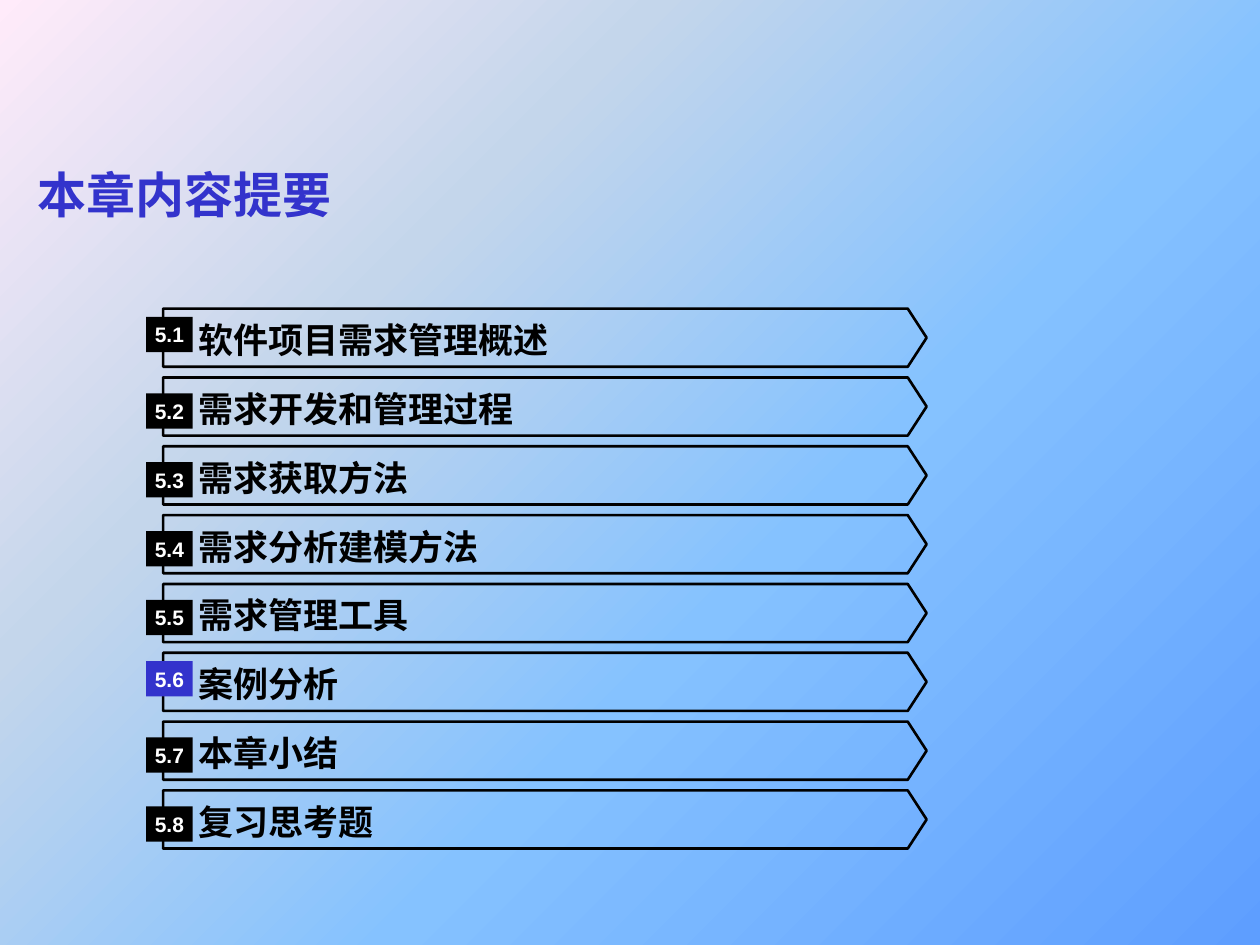
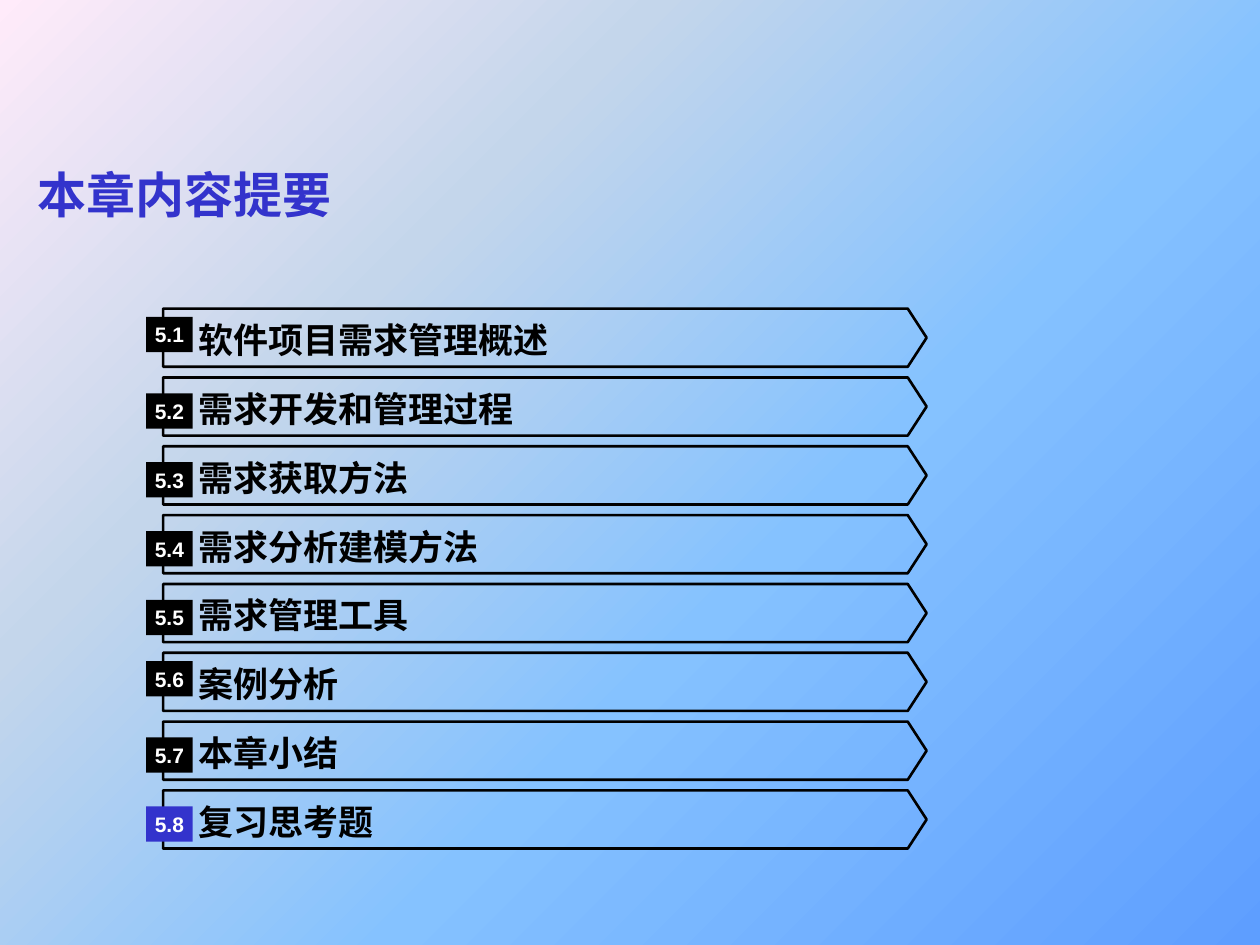
from pptx import Presentation
from pptx.dml.color import RGBColor
from pptx.enum.shapes import MSO_SHAPE
from pptx.enum.text import MSO_ANCHOR, PP_ALIGN
from pptx.oxml import parse_xml
from pptx.oxml.ns import nsdecls
from pptx.util import Inches, Pt

PLATE, RECTANGLE = MSO_SHAPE.PENTAGON, MSO_SHAPE.RECTANGLE
MIDDLE = MSO_ANCHOR.MIDDLE
LEFT, CENTER = PP_ALIGN.LEFT, PP_ALIGN.CENTER

COLORS = {"ink": "000000", "accent": "3333CC", "tag_text": "FFFFFF"}
BACKGROUND_STOPS = [(0, "5E9EFF"), (40, "85C2FF"), (70, "C4D6EB"), (100, "FFEBFA")]
BACKGROUND_ANGLE = 225

TITLE = "本章内容提要"
TITLE_BOX = (0.2, 1.15, 9.61, 0.78)
AGENDA_BOX = (1.16, 2.45, 6.2, 4.37)
SECTIONS = [
    "软件项目需求管理概述", "需求开发和管理过程", "需求获取方法", "需求分析建模方法",
    "需求管理工具", "案例分析", "本章小结", "复习思考题",
]
RAISED_TAGS = {1, 6}  # section numbers whose tag sits higher on its plate
CURRENT_SECTIONS = [6, 8]  # one slide for each


def color(name):
    return RGBColor.from_string(COLORS[name])


def place(box):
    return [Inches(length) for length in box]


def paint_background(slide):
    stops = "".join(
        f'<a:gs pos="{share * 1000}"><a:srgbClr val="{shade}"/></a:gs>'
        for share, shade in BACKGROUND_STOPS)
    slide.element.cSld.insert(0, parse_xml(
        f'<p:bg {nsdecls("p", "a")}><p:bgPr><a:gradFill rotWithShape="0">'
        f'<a:gsLst>{stops}</a:gsLst>'
        f'<a:lin ang="{BACKGROUND_ANGLE * 60000}" scaled="0"/>'
        '</a:gradFill><a:effectLst/></p:bgPr></p:bg>'))


def write(shape, text, font_name, size, color_name, align=LEFT, inset=0):
    frame = shape.text_frame
    frame.word_wrap = True
    frame.vertical_anchor = MIDDLE
    frame.margin_left = frame.margin_right = Inches(inset)
    frame.margin_top = frame.margin_bottom = Inches(inset / 2)
    paragraph = frame.paragraphs[0]
    paragraph.text = text
    paragraph.alignment = align
    paragraph.font.name = font_name
    paragraph.font.size = Pt(size)
    paragraph.font.bold = True
    paragraph.font.color.rgb = color(color_name)


def add_title(slide, box):
    title = slide.shapes.add_textbox(*place(box))
    write(title, TITLE, "Arial", 28, "accent", inset=0.1)


def add_section(shapes, box, number, heading, is_current):
    left, top, width, pitch = box

    # Arrow-ended outline
    plate = shapes.add_shape(
        PLATE, *place((left + 0.135, top, width - 0.14, pitch * 0.845)))
    plate.adjustments[0] = 0.325
    plate.shadow.inherit = False
    plate.fill.background()
    plate.line.color.rgb = color("ink")
    plate.line.width = Pt(1.5)

    # Heading
    label = shapes.add_textbox(
        *place((left + 0.415, top + pitch * 0.14, 5.38, pitch * 0.62)))
    write(label, heading, "Times New Roman", 20, "ink")

    # Number tag
    drop = 0.12 if number in RAISED_TAGS else 0.23
    tag = shapes.add_shape(
        RECTANGLE, *place((left, top + pitch * drop, 0.37, 0.28)))
    tag.shadow.inherit = False
    tag.fill.solid()
    tag.fill.fore_color.rgb = color("accent" if is_current else "ink")
    tag.line.fill.background()
    write(tag, f"5.{number}", "Arial", 12, "tag_text", CENTER)


def add_agenda(slide, box, current):
    left, top, width, height = box
    pitch = height / len(SECTIONS)
    agenda = slide.shapes.add_group_shape()
    for row, heading in enumerate(SECTIONS):
        number = row + 1
        add_section(agenda.shapes, (left, top + row * pitch, width, pitch),
                    number, heading, number == current)


presentation = Presentation()
presentation.slide_width, presentation.slide_height = Inches(10), Inches(7.5)
blank_layout = presentation.slide_layouts[6]

for current in CURRENT_SECTIONS:
    slide = presentation.slides.add_slide(blank_layout)
    paint_background(slide)
    add_title(slide, TITLE_BOX)
    add_agenda(slide, AGENDA_BOX, current)

presentation.save("out.pptx")
